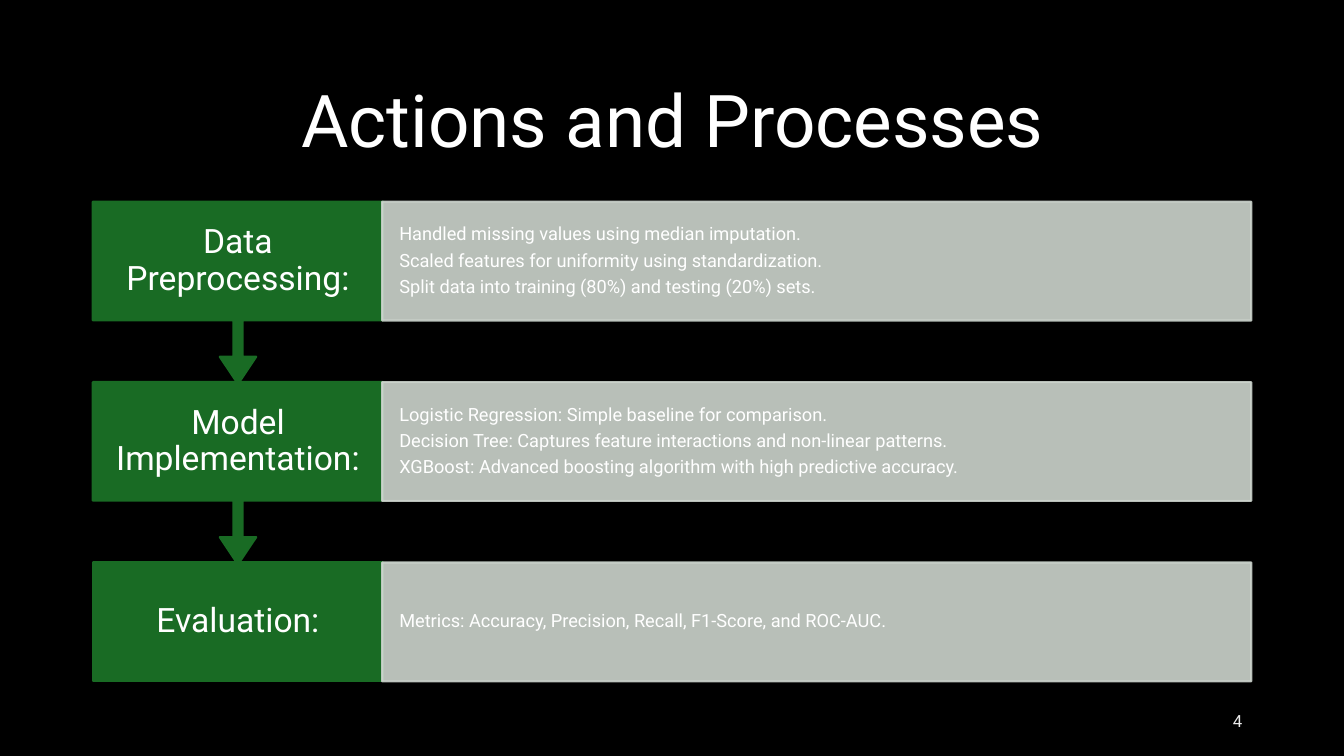
from dataclasses import dataclass

from lxml.etree import SubElement
from pptx import Presentation
from pptx.dml.color import RGBColor
from pptx.enum.shapes import MSO_SHAPE as Shape
from pptx.enum.text import MSO_ANCHOR as Anchor, PP_ALIGN as Align
from pptx.oxml.ns import qn
from pptx.util import Inches, Pt

FONT = "Roboto"
COLORS = {
    "background": "000000",
    "text": "FFFFFF",
    "number": "EAEAEA",
    "step": "196B24",
    "panel": "CCD4CD",
}

# Grid of the process rows
LEFT, TOP = 0.92, 2.0
LABEL_WIDTH, PANEL_WIDTH = 2.88, 8.62
PANEL_LEFT = 3.79
ROW_HEIGHT, ROW_PITCH, CALLOUT_HEIGHT = 1.18, 1.79, 1.81
CALLOUT_ADJUSTMENTS = (0.05, 0.1, 0.15, 0.65)


@dataclass
class Step:
    label: str
    details: list[str]


@dataclass
class TextStyle:
    size: float
    align: Align
    color: str = "text"
    line_spacing: float = 0.9
    space_after: float = 0
    inset_x: float = 0.1
    inset_y: float = 0.05


STEPS = [
    Step("Data Preprocessing:", [
        "Handled missing values using median imputation.",
        "Scaled features for uniformity using standardization.",
        "Split data into training (80%) and testing (20%) sets.",
    ]),
    Step("Model Implementation:", [
        "Logistic Regression: Simple baseline for comparison.",
        "Decision Tree: Captures feature interactions and non-linear patterns.",
        "XGBoost: Advanced boosting algorithm with high predictive accuracy.",
    ]),
    Step("Evaluation:", [
        "Metrics: Accuracy, Precision, Recall, F1-Score, and ROC-AUC.",
    ]),
]

TITLE_STYLE = TextStyle(52, Align.CENTER)
NUMBER_STYLE = TextStyle(12, Align.RIGHT, "number", 1.0, 6)
LABEL_STYLE = TextStyle(24, Align.CENTER, space_after=8.4, inset_x=0.2, inset_y=0.19)
DETAIL_STYLE = TextStyle(13, Align.LEFT, space_after=4.8, inset_x=0.17, inset_y=0.18)


def rgb(name: str) -> RGBColor:
    return RGBColor.from_string(COLORS[name])


def write_text(shape, text: str, style: TextStyle) -> None:
    frame = shape.text_frame
    frame.text = text
    frame.word_wrap = True
    frame.vertical_anchor = Anchor.MIDDLE
    frame.margin_left = frame.margin_right = Inches(style.inset_x)
    frame.margin_top = frame.margin_bottom = Inches(style.inset_y)
    for paragraph in frame.paragraphs:
        paragraph.alignment = style.align
        paragraph.line_spacing = style.line_spacing
        paragraph.space_before = Pt(0)
        paragraph.space_after = Pt(style.space_after)
        for run in paragraph.runs:
            run.font.name = FONT
            run.font.size = Pt(style.size)
            run.font.color.rgb = rgb(style.color)


def add_block(slide, kind: Shape, left: float, top: float, width: float,
              height: float, color: str, opacity: int = 100):
    shape = slide.shapes.add_shape(
        kind, Inches(left), Inches(top), Inches(width), Inches(height))
    shape.shadow.inherit = False
    shape.fill.solid()
    shape.fill.fore_color.rgb = rgb(color)
    shape.line.color.rgb = rgb(color)
    shape.line.width = Pt(1.5)
    if opacity < 100:
        for element in shape.element.spPr.iter(qn("a:srgbClr")):
            SubElement(element, qn("a:alpha"), val=str(opacity * 1000))
    return shape


def add_label(slide, text: str, left: float, top: float, width: float,
              height: float, style: TextStyle) -> None:
    box = slide.shapes.add_textbox(
        Inches(left), Inches(top), Inches(width), Inches(height))
    write_text(box, text, style)


def add_step(slide, step: Step, top: float, is_last: bool) -> None:
    # Green block, with an arrow down to the next step
    if is_last:
        add_block(slide, Shape.RECTANGLE, LEFT, top, LABEL_WIDTH, ROW_HEIGHT, "step")
    else:
        callout = add_block(slide, Shape.UP_ARROW_CALLOUT, LEFT, top,
                            LABEL_WIDTH, CALLOUT_HEIGHT, "step")
        callout.rotation = 180
        for index, value in enumerate(CALLOUT_ADJUSTMENTS):
            callout.adjustments[index] = value
    add_label(slide, step.label, LEFT, top, LABEL_WIDTH, ROW_HEIGHT, LABEL_STYLE)

    # Details panel
    panel = add_block(slide, Shape.RECTANGLE, PANEL_LEFT, top,
                      PANEL_WIDTH, ROW_HEIGHT, "panel", opacity=90)
    write_text(panel, "\n".join(step.details), DETAIL_STYLE)


def main() -> None:
    presentation = Presentation()
    presentation.slide_width = Inches(13.33)
    presentation.slide_height = Inches(7.5)
    slide = presentation.slides.add_slide(presentation.slide_layouts[5])
    slide.background.fill.solid()
    slide.background.fill.fore_color.rgb = rgb("background")

    # Title
    title = slide.shapes.title
    title.left, title.top = Inches(LEFT), Inches(0.61)
    title.width, title.height = Inches(11.5), Inches(1.24)
    write_text(title, "Actions and Processes", TITLE_STYLE)

    # Page number
    add_label(slide, "4", 9.42, 6.95, 3, 0.4, NUMBER_STYLE)

    # Steps, last one first so that each arrow lies over the next block
    last = len(STEPS) - 1
    for index, step in reversed(list(enumerate(STEPS))):
        add_step(slide, step, TOP + index * ROW_PITCH, index == last)

    presentation.save("out.pptx")


if __name__ == "__main__":
    main()
